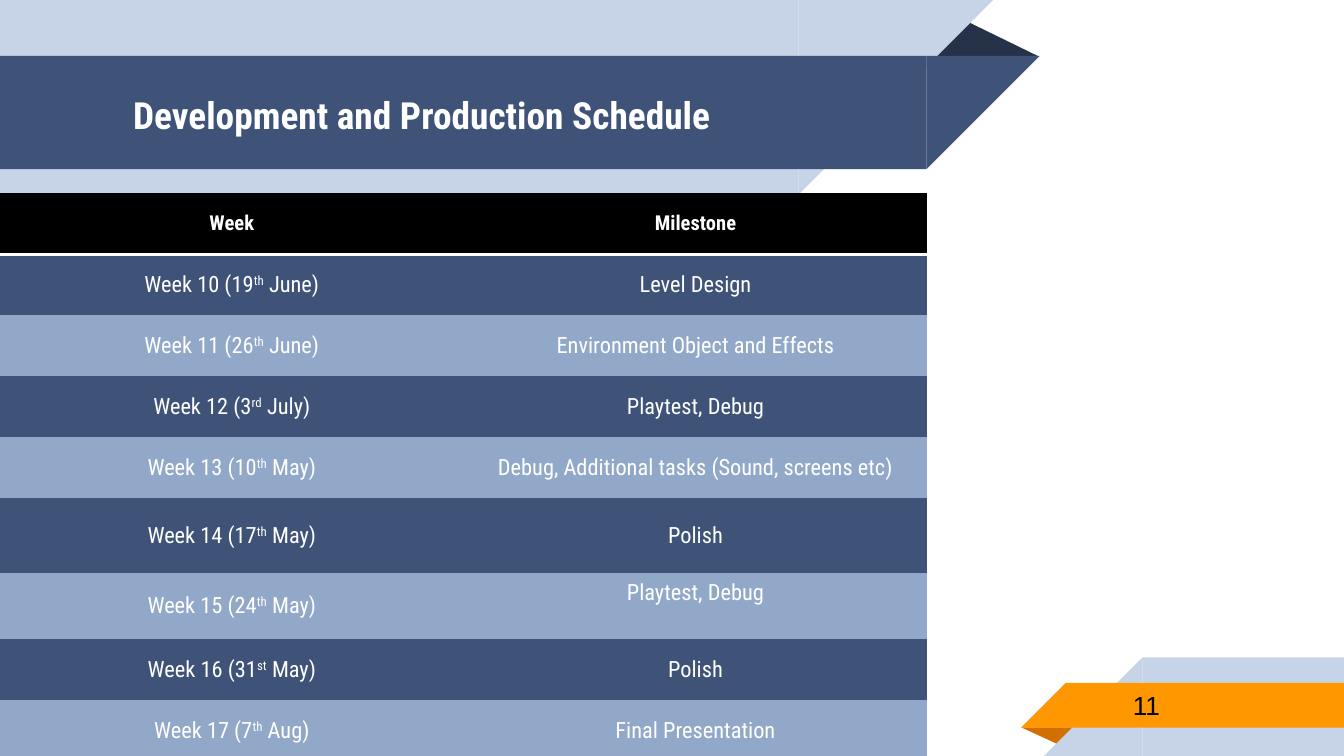
from lxml import etree
from pptx import Presentation
from pptx.dml.color import RGBColor
from pptx.enum.shapes import MSO_SHAPE
from pptx.enum.text import MSO_ANCHOR, MSO_AUTO_SIZE, PP_ALIGN
from pptx.oxml.ns import qn
from pptx.util import Pt

RECT, CORNER, FOLD = (MSO_SHAPE.RECTANGLE, MSO_SHAPE.RIGHT_TRIANGLE,
                      MSO_SHAPE.ISOSCELES_TRIANGLE)
TOP, MIDDLE = MSO_ANCHOR.TOP, MSO_ANCHOR.MIDDLE
LEFT, CENTER = PP_ALIGN.LEFT, PP_ALIGN.CENTER
NO_STYLE = "{2D5ABB26-0587-4C30-8999-92F81FD0307C}"
FONT = "Roboto Condensed"
COLORS = {"pale": "C7D3E6", "navy": "3F5378", "dark": "263248", "mid": "92A8C8",
          "orange": "FF9800", "rust": "D26F00", "white": "FFFFFF", "black": "000000"}

# Content
TITLE = "Development and Production Schedule"
NUMBER = "11"
HEADER = ("Week", "Milestone")
SCHEDULE = [  # week start, ordinal suffix, week end, milestone
    ("Week 10 (19", "th", " June)", "Level Design"),
    ("Week 11 (26", "th", " June)", "Environment Object and Effects"),
    ("Week 12 (3", "rd", " July)", "Playtest, Debug"),
    ("Week 13 (10", "th", " May)", "Debug, Additional tasks (Sound, screens etc)"),
    ("Week 14 (17", "th", " May)", "Polish"),
    ("Week 15 (24", "th", " May)", "Playtest, Debug"),
    ("Week 16 (31", "st", " May)", "Polish"),
    ("Week 17 (7", "th", " Aug)", "Final Presentation"),
]
ROW_HEIGHT, TALL_ROWS = 32.68, {5: 40.18, 6: 35.4}
TOP_ALIGNED = (6, 1)

# Ribbon parts: preset, left, top, width, height, colour, flip
RIBBONS = [
    (FOLD, 495.4, 10.1, 61.2, 20.2, "dark", None),
    (RECT, 0, 0, 427.7, 104.4, "pale", None),
    (CORNER, 427.7, 0, 104.4, 104.4, "pale", "flipV"),
    (RECT, 0, 30, 496.4, 60.6, "navy", None),
    (CORNER, 496.4, 30, 60.6, 60.6, "navy", "flipV"),
    (FOLD, 547.2, 389.7, 31, 9.7, "rust", "rotate"),
    (RECT, 612, 352.2, 108, 52.8, "pale", None),
    (CORNER, 559.2, 352.2, 52.8, 52.8, "pale", "flipH"),
    (RECT, 571, 365.8, 149, 24, "orange", None),
    (CORNER, 547, 365.8, 24, 24, "orange", "flipH"),
]


def rgb(name):
    return RGBColor.from_string(COLORS[name])


def set_font(p, name, size, color, bold=False, align=LEFT):
    p.alignment = align
    f = p.font
    f.name, f.size, f.bold = name, Pt(size), bold
    f.color.rgb = rgb(color)


def place(sp, left, top, width, height):
    sp.left, sp.top, sp.width, sp.height = map(Pt, (left, top, width, height))


def set_frame(tf):
    tf.word_wrap, tf.auto_size = True, MSO_AUTO_SIZE.NONE
    tf.vertical_anchor = MIDDLE
    tf.margin_left = tf.margin_right = tf.margin_top = tf.margin_bottom = Pt(7.2)


def fill_cell(cell, parts, fill, size, bold=False):
    cell.fill.solid()
    cell.fill.fore_color.rgb = rgb(fill)
    cell.vertical_anchor = MIDDLE
    p = cell.text_frame.paragraphs[0]
    for i, text in enumerate(parts):
        r = p.add_run()
        r.text = text
        if i == 1:  # ordinal suffix
            r.font._element.set("baseline", "30000")
    set_font(p, FONT, size, "white", bold, CENTER)


def add_bottom_border(cell, color, width):
    tc_pr = cell._tc.get_or_add_tcPr()
    line = etree.Element(qn("a:lnB"), w=str(Pt(width)))
    solid = etree.SubElement(line, qn("a:solidFill"))
    etree.SubElement(solid, qn("a:srgbClr"), val=COLORS[color])
    tc_pr.insert(0, line)


prs = Presentation()
prs.slide_width, prs.slide_height = Pt(720), Pt(405)
s = prs.slides.add_slide(prs.slide_layouts[5])

# Ribbons
for preset, left, top, width, height, color, flip in RIBBONS:
    sp = s.shapes.add_shape(preset, *map(Pt, (left, top, width, height)))
    sp.shadow.inherit = False
    sp.fill.solid()
    sp.fill.fore_color.rgb = rgb(color)
    sp.line.fill.background()
    if preset == FOLD:
        sp.adjustments[0] = 0.324
    if flip == "rotate":
        sp.rotation = 180
    elif flip:
        sp.element.spPr.xfrm.set(flip, "1")

# Title, brought in front of the ribbons
title = s.shapes.title
title.element.getparent().append(title.element)
place(title, 64.1, 31, 432.7, 60.5)
title.text_frame.text = TITLE
set_frame(title.text_frame)
set_font(title.text_frame.paragraphs[0], FONT, 20, "white", True)

# Slide number
box = s.shapes.add_textbox(*map(Pt, (599.8, 365, 117.4, 25.2)))
box.text_frame.text = NUMBER
set_frame(box.text_frame)
set_font(box.text_frame.paragraphs[0], "Arial", 14, "black")

# Schedule table
heights = [TALL_ROWS.get(i, ROW_HEIGHT) for i in range(len(SCHEDULE) + 1)]
frame = s.shapes.add_table(len(heights), len(HEADER), 0, Pt(103.5),
                           Pt(496.8), Pt(sum(heights)))
table = frame.table
table._tbl.tblPr.find(qn("a:tableStyleId")).text = NO_STYLE
for row, height in zip(table.rows, heights):
    row.height = Pt(height)
for col, text in enumerate(HEADER):
    fill_cell(table.cell(0, col), [text], "black", 11, True)
    add_bottom_border(table.cell(0, col), "white", 2)
for i, (*week, milestone) in enumerate(SCHEDULE, 1):
    fill = "navy" if i % 2 else "mid"
    fill_cell(table.cell(i, 0), week, fill, 12)
    fill_cell(table.cell(i, 1), [milestone], fill, 12)
table.cell(*TOP_ALIGNED).vertical_anchor = TOP

prs.save("out.pptx")
